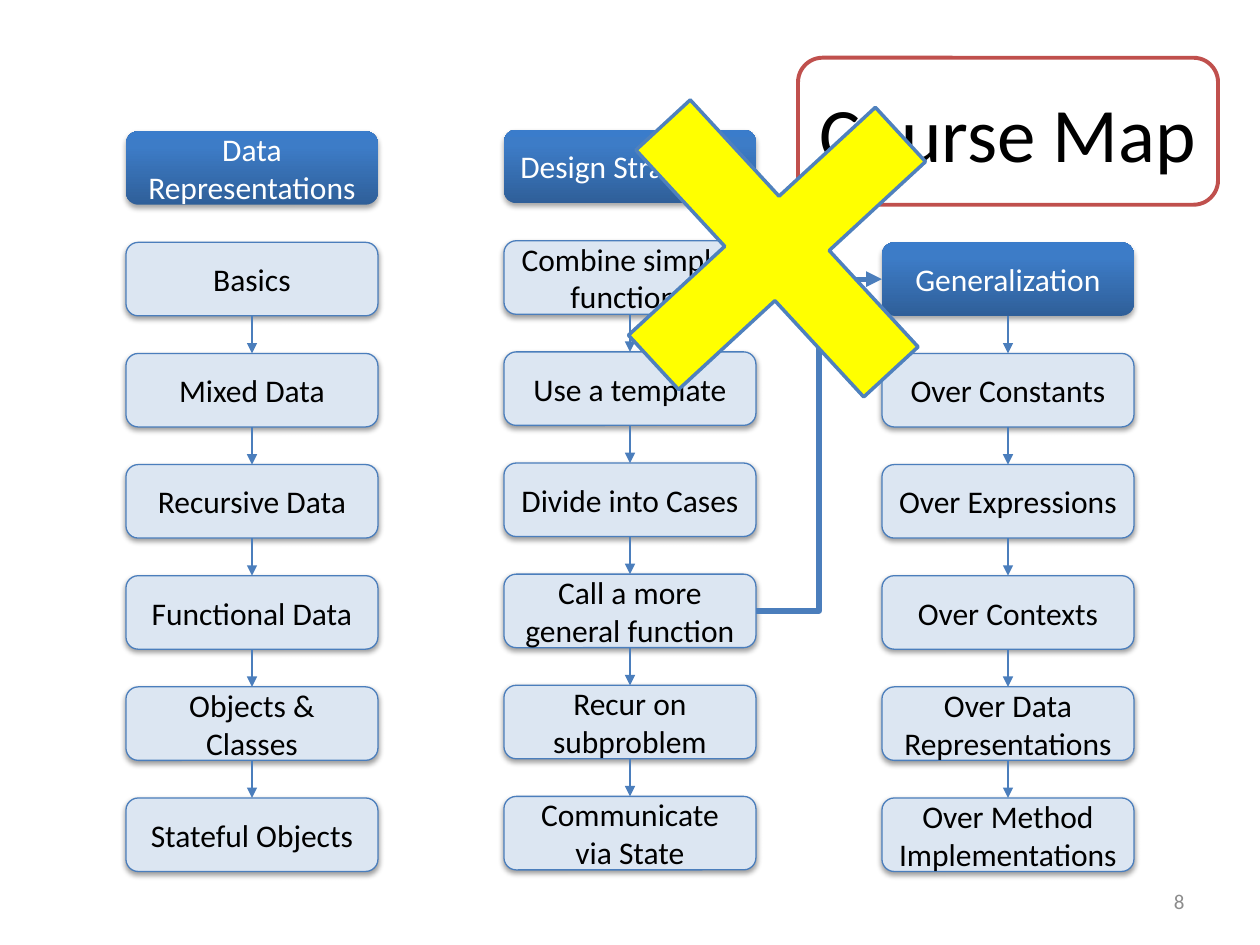
"""Build the Course Map slide: three columns of linked topics, crossed out."""
from dataclasses import dataclass

from lxml import etree
from pptx import Presentation
from pptx.dml.color import RGBColor
from pptx.enum.shapes import MSO_CONNECTOR, MSO_SHAPE
from pptx.enum.text import MSO_ANCHOR, PP_ALIGN
from pptx.oxml.ns import qn
from pptx.util import Pt


@dataclass(frozen=True)
class Theme:
    font: str = "Calibri"
    body: float = 18
    title: float = 44
    small: float = 12
    black: str = "000000"
    white: str = "FFFFFF"
    grey: str = "8C8C8C"
    blue: str = "4B7EBC"
    pale: str = "DCE6F2"
    red: str = "C0504D"
    yellow: str = "FFFF00"
    cross_line: str = "4F81BD"
    header: tuple = ((0, "2F5F99"), (80, "3D7CC7"), (100, "3A7CCB"))


THEME = Theme()
COLUMNS = [
    {"left": 72, "top": 75, "header_linked": False,
     "topics": ["Data Representations", "Basics", "Mixed Data", "Recursive Data",
                "Functional Data", "Objects & Classes", "Stateful Objects"]},
    {"left": 288, "top": 74.1, "header_linked": False,
     "topics": ["Design Strategies", "Combine simpler functions", "Use a template",
                "Divide into Cases", "Call a more general function",
                "Recur on subproblem", "Communicate via State"]},
    {"left": 504, "top": 138.5, "header_linked": True,
     "topics": ["Generalization", "Over Constants", "Over Expressions", "Over Contexts",
                "Over Data Representations", "Over Method Implementations"]},
]
BOX_WIDTH, BOX_HEIGHT, PITCH = 144, 42, 63.5
TOP_SITE, LEFT_SITE, BOTTOM_SITE, RIGHT_SITE = range(4)


def rgb(color):
    return RGBColor.from_string(color)


def write(shape, text, size, color, align=PP_ALIGN.CENTER):
    frame = shape.text_frame
    frame.word_wrap = True
    frame.vertical_anchor = MSO_ANCHOR.MIDDLE
    paragraph = frame.paragraphs[0]
    paragraph.alignment = align
    run = paragraph.add_run()
    run.text = text
    run.font.name, run.font.size = THEME.font, Pt(size)
    run.font.color.rgb = rgb(color)


def add_shape(slide, kind, box, fill=None, line=None, width=0.75):
    shape = slide.shapes.add_shape(kind, *map(Pt, box))
    shape.shadow.inherit = False
    if fill:
        shape.fill.solid()
        shape.fill.fore_color.rgb = rgb(fill)
    else:
        shape.fill.background()
    if line:
        shape.line.color.rgb = rgb(line)
        shape.line.width = Pt(width)
    else:
        shape.line.fill.background()
    return shape


def add_color(parent, color):
    return etree.SubElement(parent, qn("a:srgbClr"), val=color)


def add_shadow(shape, alpha, distance):
    effects = shape._element.spPr.find(qn("a:effectLst"))
    shadow = etree.SubElement(effects, qn("a:outerShdw"), blurRad=str(Pt(3.1)),
                              dist=str(Pt(distance)), dir="5400000", rotWithShape="0")
    etree.SubElement(add_color(shadow, THEME.black), qn("a:alpha"), val=str(alpha * 1000))


def set_gradient(shape, stops):
    shape.fill.gradient()
    shape.fill.gradient_angle = 90
    stop_list = shape._element.spPr.find(".//" + qn("a:gsLst"))
    for stop in list(stop_list):
        stop_list.remove(stop)
    for position, color in stops:
        add_color(etree.SubElement(stop_list, qn("a:gs"), pos=str(position * 1000)), color)


def add_topic(slide, text, left, top, is_header):
    box = (left, top, BOX_WIDTH, BOX_HEIGHT)
    shape = add_shape(slide, MSO_SHAPE.ROUNDED_RECTANGLE, box, THEME.pale,
                      None if is_header else THEME.blue)
    if is_header:
        set_gradient(shape, THEME.header)
        add_shadow(shape, 35, 1.8)
    else:
        add_shadow(shape, 38, 1.6)
    write(shape, text, THEME.body, THEME.white if is_header else THEME.black)
    return shape


def add_arrow(slide, kind, source, source_site, target, target_site, width=0.75):
    arrow = slide.shapes.add_connector(kind, 0, 0, 0, 0)
    arrow.begin_connect(source, source_site)
    arrow.end_connect(target, target_site)
    arrow.line.color.rgb = rgb(THEME.blue)
    arrow.line.width = Pt(width)
    etree.SubElement(arrow.line._get_or_add_ln(), qn("a:tailEnd"), type="triangle")
    etree.SubElement(arrow._element.spPr, qn("a:effectLst"))


def add_column(slide, column):
    boxes = [add_topic(slide, text, column["left"], column["top"] + row * PITCH, row == 0)
             for row, text in enumerate(column["topics"])]
    linked = boxes if column["header_linked"] else boxes[1:]
    for source, target in zip(linked, linked[1:]):
        add_arrow(slide, MSO_CONNECTOR.STRAIGHT, source, BOTTOM_SITE, target, TOP_SITE)
    return dict(zip(column["topics"], boxes))


def main():
    prs = Presentation()
    prs.slide_width, prs.slide_height = Pt(720), Pt(540)
    slide = prs.slides.add_slide(prs.slide_layouts[6])

    topics = {}
    for column in COLUMNS:
        topics.update(add_column(slide, column))
    add_arrow(slide, MSO_CONNECTOR.ELBOW, topics["Call a more general function"], RIGHT_SITE,
              topics["Generalization"], LEFT_SITE, 3)

    title = add_shape(slide, MSO_SHAPE.ROUNDED_RECTANGLE, (456, 33, 240, 84),
                      line=THEME.red, width=2.25)
    write(title, "Course Map", THEME.title, THEME.black)

    number = slide.shapes.add_textbox(Pt(516), Pt(500.5), Pt(168), Pt(28.75))
    write(number, "8", THEME.small, THEME.grey, PP_ALIGN.RIGHT)

    cross = add_shape(slide, MSO_SHAPE.CROSS, (348, 46, 192, 192),
                      THEME.yellow, THEME.cross_line, 2)
    cross.adjustments[0] = 0.39
    cross.rotation = 47.3

    prs.save("out.pptx")


main()
